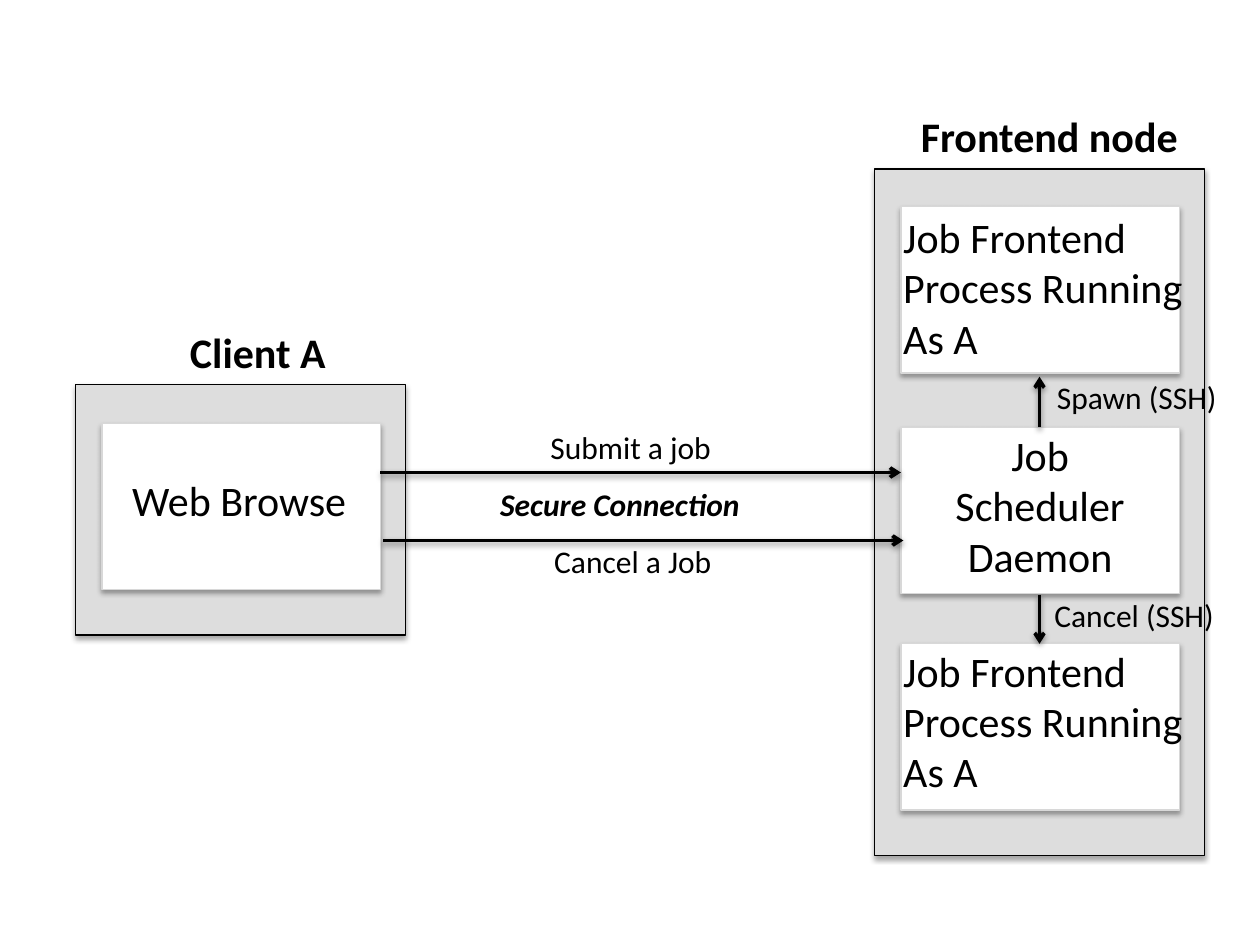
"""Build the job submission diagram slide."""
from dataclasses import dataclass

from lxml import etree
from pptx import Presentation
from pptx import util as u
from pptx.dml import color
from pptx.enum import shapes, text
from pptx.oxml import ns


@dataclass(frozen=True)
class Theme:
    """Colours, font and sizes of the slide."""
    font: str = "Calibri"
    ink: str = "000000"
    panel: str = "DDDDDD"
    card: str = "FFFFFF"
    card_edge: str = "D8D8D8"
    large: int = 24
    small: int = 18
    outline: float = 0.75
    arrow: float = 2


THEME = Theme()
CARD_WIDTH, CARD_HEIGHT, CARD_INSET = 2.21, 1.32, 0.21
PANEL_WIDTH = 2.62


def rgb(value):
    """Return a colour from its hex value."""
    return color.RGBColor.from_string(value)


def add_shadow(shape, distance, opacity):
    """Give a shape or connector a soft shadow below it."""
    properties = shape._element.spPr
    effects = properties.find(ns.qn("a:effectLst"))
    if effects is None:
        effects = etree.SubElement(properties, ns.qn("a:effectLst"))
    shadow = etree.SubElement(
        effects, ns.qn("a:outerShdw"), blurRad=str(int(u.Pt(3.1))),
        dist=str(int(u.Pt(distance))), dir="5400000", rotWithShape="0")
    tint = etree.SubElement(shadow, ns.qn("a:srgbClr"), val=THEME.ink)
    etree.SubElement(tint, ns.qn("a:alpha"), val=str(opacity * 1000))


def add_box(slide, left, top, width, height, fill, edge):
    """Add a filled rectangle with a thin edge and a shadow."""
    shape = slide.shapes.add_shape(
        shapes.MSO_SHAPE.RECTANGLE, u.Inches(left), u.Inches(top),
        u.Inches(width), u.Inches(height))
    shape.shadow.inherit = False
    shape.fill.solid()
    shape.fill.fore_color.rgb = rgb(fill)
    shape.line.color.rgb = rgb(edge)
    shape.line.width = u.Pt(THEME.outline)
    add_shadow(shape, 1.8, 35)


def add_text(slide, left, top, width, height, lines, size,
             bold=False, italic=False, align=text.PP_ALIGN.LEFT):
    """Add a wrapped text box with one paragraph for each line."""
    shape = slide.shapes.add_textbox(
        u.Inches(left), u.Inches(top), u.Inches(width), u.Inches(height))
    frame = shape.text_frame
    frame.word_wrap = True
    for index, line in enumerate(lines):
        paragraph = frame.add_paragraph() if index else frame.paragraphs[0]
        paragraph.alignment = align
        run = paragraph.add_run()
        run.text = line
        run.font.name = THEME.font
        run.font.size = u.Pt(size)
        run.font.bold = bold
        run.font.italic = italic
        run.font.color.rgb = rgb(THEME.ink)


def add_arrow(slide, start, end):
    """Add a straight arrow from start to end."""
    connector = slide.shapes.add_connector(
        shapes.MSO_CONNECTOR.STRAIGHT,
        *(u.Inches(value) for value in (*start, *end)))
    connector.line.color.rgb = rgb(THEME.ink)
    connector.line.width = u.Pt(THEME.arrow)
    etree.SubElement(connector.line._get_or_add_ln(),
                     ns.qn("a:tailEnd"), type="arrow")
    add_shadow(connector, 1.6, 38)


def add_panel(slide, left, top, height, title, title_offset, card_tops):
    """Add a titled grey panel and its white cards."""
    add_box(slide, left, top, PANEL_WIDTH, height, THEME.panel, THEME.ink)
    add_text(slide, left + title_offset, top - 0.51, 2.5, 0.5,
             [title], THEME.large, bold=True)
    for card_top in card_tops:
        add_box(slide, left + CARD_INSET, top + card_top,
                CARD_WIDTH, CARD_HEIGHT, THEME.card, THEME.card_edge)


def add_client(slide, left, top):
    """Add the client panel with its browser card."""
    add_panel(slide, left, top, 1.99, "Client A", 0.81, [0.31])
    add_text(slide, left + 0.35, top + 0.67, 2.78, 0.91,
             ["Web Browse"], THEME.large)


def add_frontend(slide, left, top):
    """Add the frontend panel with its processes, daemon and SSH arrows."""
    add_panel(slide, left, top, 5.45, "Frontend node", 0.27,
              [0.3, 2.05, 3.77])
    for process_top in (0.29, 3.73):
        add_text(slide, left + 0.13, top + process_top, 2.78, 1.72,
                 ["Job Frontend", "Process Running As A"], THEME.large)
    add_text(slide, left + CARD_INSET, top + 2.02, CARD_WIDTH, 1.3,
             ["Job", "Scheduler", "Daemon"], THEME.large,
             align=text.PP_ALIGN.CENTER)
    middle = left + PANEL_WIDTH / 2
    for label, offset, label_top, start, end in (
            ("Spawn (SSH)", 1.35, 1.61, 2.05, 1.65),
            ("Cancel (SSH)", 1.33, 3.34, 3.38, 3.77)):
        add_arrow(slide, (middle, top + start), (middle, top + end))
        add_text(slide, left + offset, top + label_top, 1.7, 0.4,
                 [label], THEME.small)


def add_connection(slide, left, top):
    """Add the labelled arrows of the secure connection."""
    for label, label_left, label_top, start, arrow_top in (
            ("Submit a job", 1.25, -0.4, 0, 0),
            ("Cancel a Job", 1.28, 0.5, 0.02, 0.54)):
        add_text(slide, left + label_left, top + label_top, 2.89, 0.4,
                 [label], THEME.small)
        add_arrow(slide, (left + start, top + arrow_top),
                  (left + start + 4.13, top + arrow_top))
    add_text(slide, left + 0.85, top + 0.05, 2.89, 0.4,
             ["Secure Connection"], THEME.small, bold=True, italic=True)


def main():
    """Build and save the presentation."""
    presentation = Presentation()
    presentation.slide_width = u.Inches(10)
    presentation.slide_height = u.Inches(7.5)
    slide = presentation.slides.add_slide(presentation.slide_layouts[6])
    add_client(slide, 0.6, 3.05)
    add_frontend(slide, 6.94, 1.34)
    add_connection(slide, 3.02, 3.75)
    presentation.save("out.pptx")


main()
